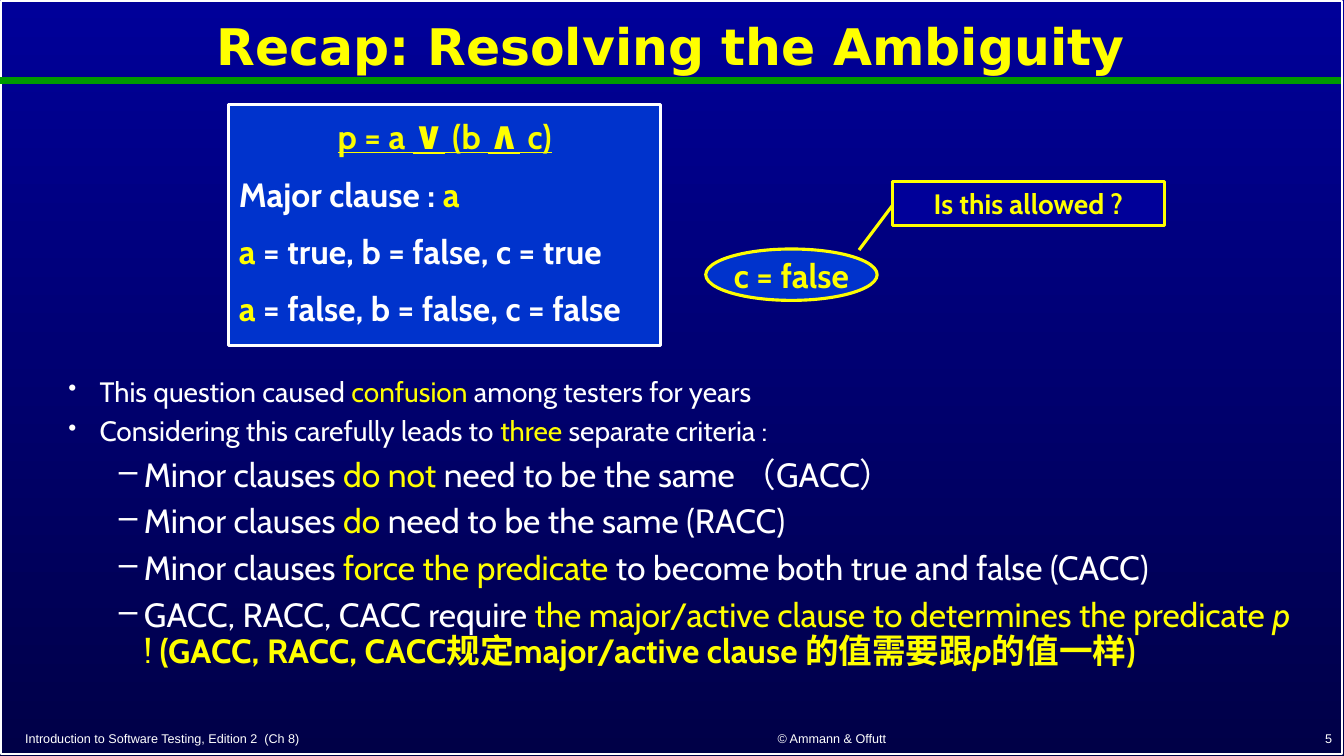
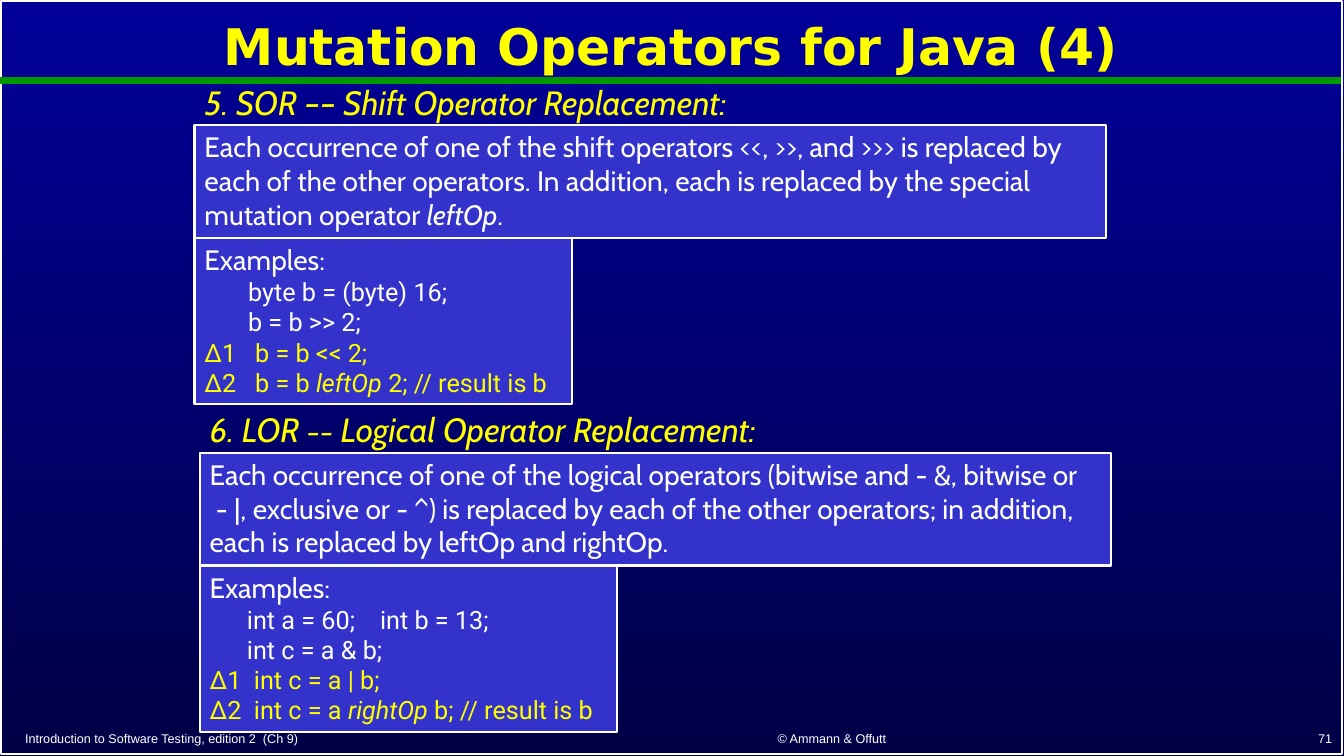
from lxml import etree
from pptx import Presentation
from pptx.dml.color import RGBColor
from pptx.enum import shapes, text
from pptx.oxml import ns
from pptx.util import Inches, Pt

# Shared style
NAVY = RGBColor(0x00, 0x00, 0x99)
MIDNIGHT = RGBColor(0x00, 0x00, 0x47)
BLUE = RGBColor(0x00, 0x33, 0xCC)
VIOLET = RGBColor(0x33, 0x33, 0xCC)
WHITE = RGBColor(0xFF, 0xFF, 0xFF)
YELLOW = RGBColor(0xFF, 0xFF, 0x00)
LEMON = RGBColor(0xFA, 0xFD, 0x00)
GREEN = RGBColor(0x00, 0x99, 0x00)
TITLE_FONT, BODY_FONT, CODE_FONT, FOOTER_FONT = "DejaVu Sans", "Cabin", "Roboto", "Arial"
LEFT, CENTER, RIGHT = text.PP_ALIGN.LEFT, text.PP_ALIGN.CENTER, text.PP_ALIGN.RIGHT
TOP, MIDDLE, BOTTOM = text.MSO_ANCHOR.TOP, text.MSO_ANCHOR.MIDDLE, text.MSO_ANCHOR.BOTTOM
RECTANGLE, OVAL = shapes.MSO_SHAPE.RECTANGLE, shapes.MSO_SHAPE.OVAL


def box(*lengths):
    return [Inches(length) for length in lengths]


def yellow(words, **changes):
    return words, {"color": YELLOW, **changes}


# Text
def add_run(paragraph, words, font=BODY_FONT, size=20, color=WHITE,
            bold=False, italic=False, underline=False):
    run = paragraph.add_run()
    run.text = words
    run.font.name, run.font.size = font, Pt(size)
    run.font.color.rgb = color
    run.font.bold, run.font.italic, run.font.underline = bold, italic, underline


def add_paragraph(frame, runs, first=False, align=LEFT, before=0, spacing=None, **style):
    """Runs are plain strings or (words, style changes) pairs."""
    paragraph = frame.paragraphs[0] if first else frame.add_paragraph()
    paragraph.alignment = align
    paragraph.space_before = Pt(0 if first else before)
    if spacing:
        paragraph.line_spacing = spacing
    for run in [runs] if isinstance(runs, str) else runs:
        words, changes = (run, {}) if isinstance(run, str) else run
        add_run(paragraph, words, **{**style, **changes})
    return paragraph


def write(shape, paragraphs, anchor=TOP, wrap=True, **style):
    frame = shape.text_frame
    frame.word_wrap, frame.vertical_anchor = wrap, anchor
    for index, runs in enumerate(paragraphs):
        add_paragraph(frame, runs, first=index == 0, **style)
    return frame


def add_text(slide, place, paragraphs, **style):
    return write(slide.shapes.add_textbox(*box(*place)), paragraphs, **style)


def add_bullet(paragraph, character, margin, hanging, percent=100):
    properties = paragraph._p.get_or_add_pPr()
    properties.set("marL", str(Inches(margin)))
    properties.set("indent", str(-Inches(hanging)))
    size = etree.SubElement(properties, ns.qn("a:buSzPct"))
    size.set("val", str(percent * 1000))
    etree.SubElement(properties, ns.qn("a:buChar")).set("char", character)


# Shapes and lines
def add_panel(slide, place, fill=VIOLET, line=WHITE, width=1.5, kind=RECTANGLE):
    shape = slide.shapes.add_shape(kind, *box(*place))
    shape.shadow.inherit = False
    if fill is None:
        shape.fill.background()
    else:
        shape.fill.solid()
        shape.fill.fore_color.rgb = fill
    shape.line.color.rgb, shape.line.width = line, Pt(width)
    return shape


def add_line(slide, ends, color, width):
    line = slide.shapes.add_connector(shapes.MSO_CONNECTOR.STRAIGHT, *box(*ends))
    line.line.color.rgb, line.line.width = color, Pt(width)
    etree.SubElement(line._element.spPr, ns.qn("a:effectLst"))


# Frame, title and footer of every slide
def set_background(master):
    fill = master.background.fill
    fill.gradient()
    fill.gradient_angle = 270
    for stop, color in zip(fill.gradient_stops, (NAVY, MIDNIGHT)):
        stop.color.rgb = color


def add_slide(presentation, title, source, number):
    slide = presentation.slides.add_slide(presentation.slide_layouts.get_by_name("Title Only"))
    add_panel(slide, (0.01, 0.01, 13.3, 7.47), fill=None, width=1)
    add_line(slide, (0, 0.8, 13.3, 0.8), GREEN, 4.5)
    heading = slide.shapes.title
    heading.left, heading.top, heading.width, heading.height = box(0.13, 0.05, 13.05, 0.88)
    write(heading, [title], anchor=MIDDLE, align=CENTER, spacing=0.9,
          font=TITLE_FONT, size=36, color=YELLOW, bold=True)
    footers = [(0.15, 5.69, source, LEFT), (6.14, 4.22, "© Ammann & Offutt", CENTER),
               (10.53, 2.78, number, RIGHT)]
    for left, width, words, align in footers:
        add_text(slide, (left, 7.19, width, 0.26), [words], anchor=BOTTOM,
                 align=align, font=FOOTER_FONT, size=9)
    return slide


# Slide: ambiguity
def add_predicate(slide):
    panel = add_panel(slide, (2.27, 1.04, 4.28, 2.39), fill=BLUE, width=2.25)
    frame = write(panel, [[("p = a ", {}), yellow("∨", size=28), yellow(" "), "(b ",
                           yellow("∧", size=28), " c)"]],
                  align=CENTER, size=24, color=LEMON, bold=True, underline=True)
    for runs in (["Major clause : ", yellow("a")],
                 [yellow("a"), " = true, b = false, c = true"],
                 [yellow("a"), " = false, b = false, c = false"]):
        add_paragraph(frame, runs, before=12, size=24, bold=True)


def add_question(slide):
    style = dict(anchor=MIDDLE, align=CENTER, color=YELLOW, bold=True)
    value = add_panel(slide, (7, 2.47, 1.7, 0.51), BLUE, YELLOW, 2.25, OVAL)
    write(value, ["c = false"], wrap=False, size=24, **style)
    add_line(slide, (8.52, 2.48, 8.85, 2.04), YELLOW, 2.25)
    question = add_panel(slide, (8.85, 1.8, 2.7, 0.44), NAVY, YELLOW, 2.25)
    write(question, ["Is this allowed ?"], **style)


def add_criteria(slide):
    points = [
        ["This question caused ", yellow("confusion"), " among testers for years"],
        ["Considering this carefully leads to ", yellow("three"), " separate criteria :"],
    ]
    criteria = [
        ["Minor clauses ", yellow("do not"), " need to be the same （GACC）"],
        ["Minor clauses ", yellow("do"), " need to be the same (RACC)"],
        ["Minor clauses ", yellow("force the predicate"),
         " to become both true and false (CACC)"],
        ["GACC, RACC, CACC require ",
         yellow("the major/active clause to determines the predicate "),
         yellow("p", italic=True), yellow(" !"),
         yellow(" (GACC, RACC, CACC规定major/active clause 的值需要跟", bold=True),
         yellow("p", bold=True, italic=True), yellow("的值一样)", bold=True)],
    ]
    frame = add_text(slide, (0.58, 3.7, 12.33, 3.36), points, spacing=0.9, before=6.5)
    for paragraph in frame.paragraphs:
        add_bullet(paragraph, "•", 0.31, 0.31, percent=85)
    for runs in criteria:
        paragraph = add_paragraph(frame, runs, spacing=0.9, before=7.5, size=24)
        add_bullet(paragraph, "–", 0.75, 0.25)


# Slide: mutation operators
def add_operator(slide, left, top, heading, rule, example_width, code, mutants):
    add_text(slide, (left, top - 0.48, 8.65, 0.5), [heading],
             size=24, color=YELLOW, italic=True)
    write(add_panel(slide, (left, top, 9.04, 1.12)), rule)
    example = add_panel(slide, (left, top + 1.12, example_width, 1.65))
    frame = write(example, ["Examples:"])
    for lines, color in ((code, WHITE), (mutants, YELLOW)):
        for line in lines:
            add_paragraph(frame, line, font=CODE_FONT, size=18, color=color)


def main():
    presentation = Presentation()
    presentation.slide_width, presentation.slide_height = box(13.33, 7.5)
    set_background(presentation.slide_master)

    ambiguity = add_slide(presentation, "Recap: Resolving the Ambiguity",
                          "Introduction to Software Testing, Edition 2  (Ch 8)", "5")
    add_predicate(ambiguity)
    add_question(ambiguity)
    add_criteria(ambiguity)

    operators = add_slide(presentation, "Mutation Operators for Java (4)",
                          "Introduction to Software Testing, edition 2  (Ch 9)", "71")
    add_operator(
        operators, 1.93, 1.24,
        ["5. SOR ", ("––", {"color": LEMON}), " Shift Operator Replacement:"],
        [["Each occurrence of one of the shift operators <<, >>, and >>> is replaced by "
          "each of the other operators. In addition, each is replaced by the special "
          "mutation operator ", ("leftOp", {"italic": True}), "."]],
        3.74,
        ["       byte b = (byte) 16;", "       b = b >> 2;"],
        ["∆1   b = b << 2;",
         ["∆2   b = b ", ("leftOp", {"italic": True}), " 2; // result is b"]])
    add_operator(
        operators, 1.98, 4.49,
        ["6. LOR ", ("––", {"color": LEMON, "size": 20}), " Logical Operator Replacement:"],
        ["Each occurrence of one of the logical operators (bitwise and - &, bitwise or",
         " - |, exclusive or - ^) is replaced by each of the other operators; in addition, "
         "each is replaced by leftOp and rightOp."],
        4.14,
        ["      int a = 60;    int b = 13;", "      int c = a & b;"],
        ["∆1  int c = a | b;",
         ["∆2  int c = a ", ("rightOp", {"italic": True}), " b; // result is b"]])

    presentation.save("out.pptx")


if __name__ == "__main__":
    main()
